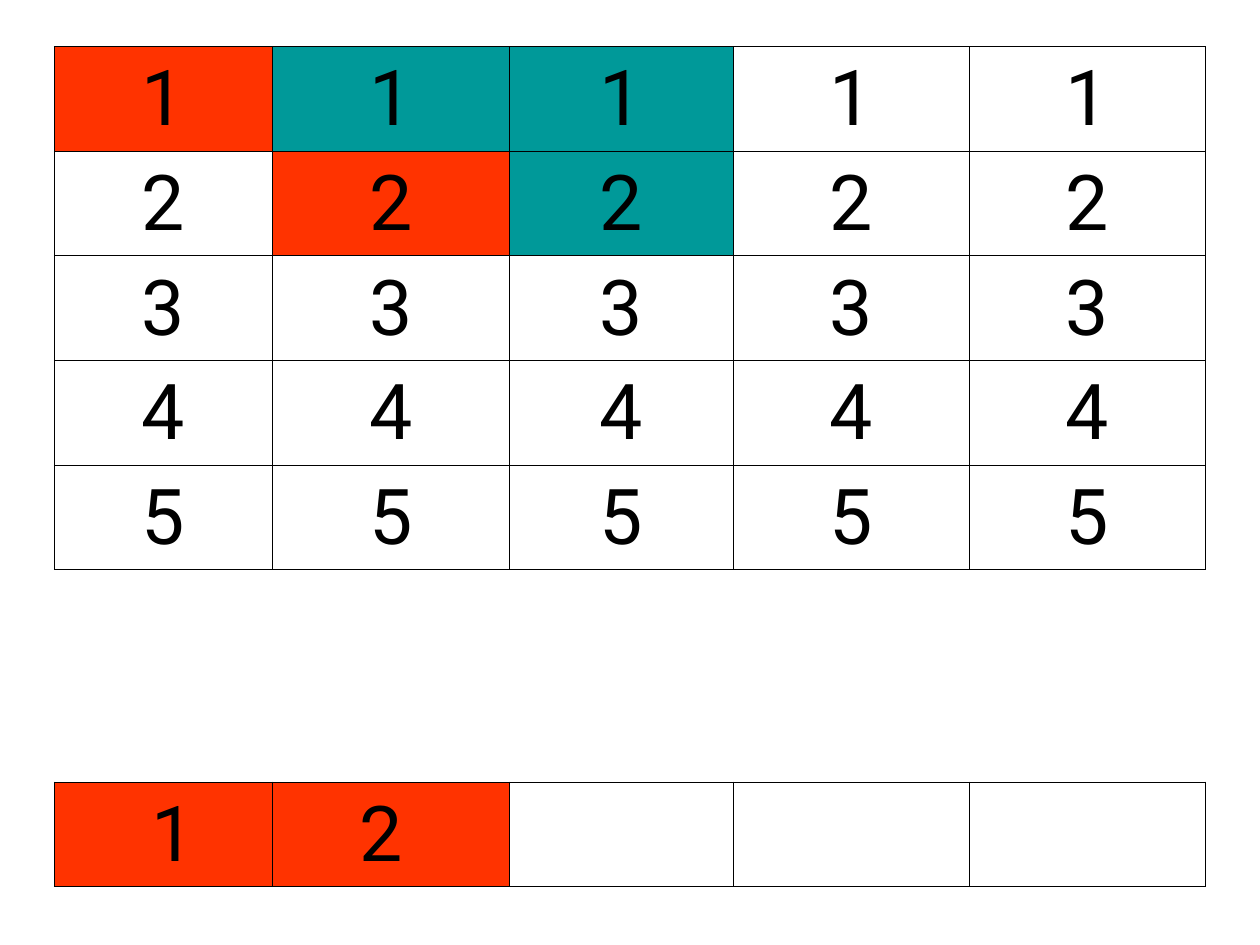
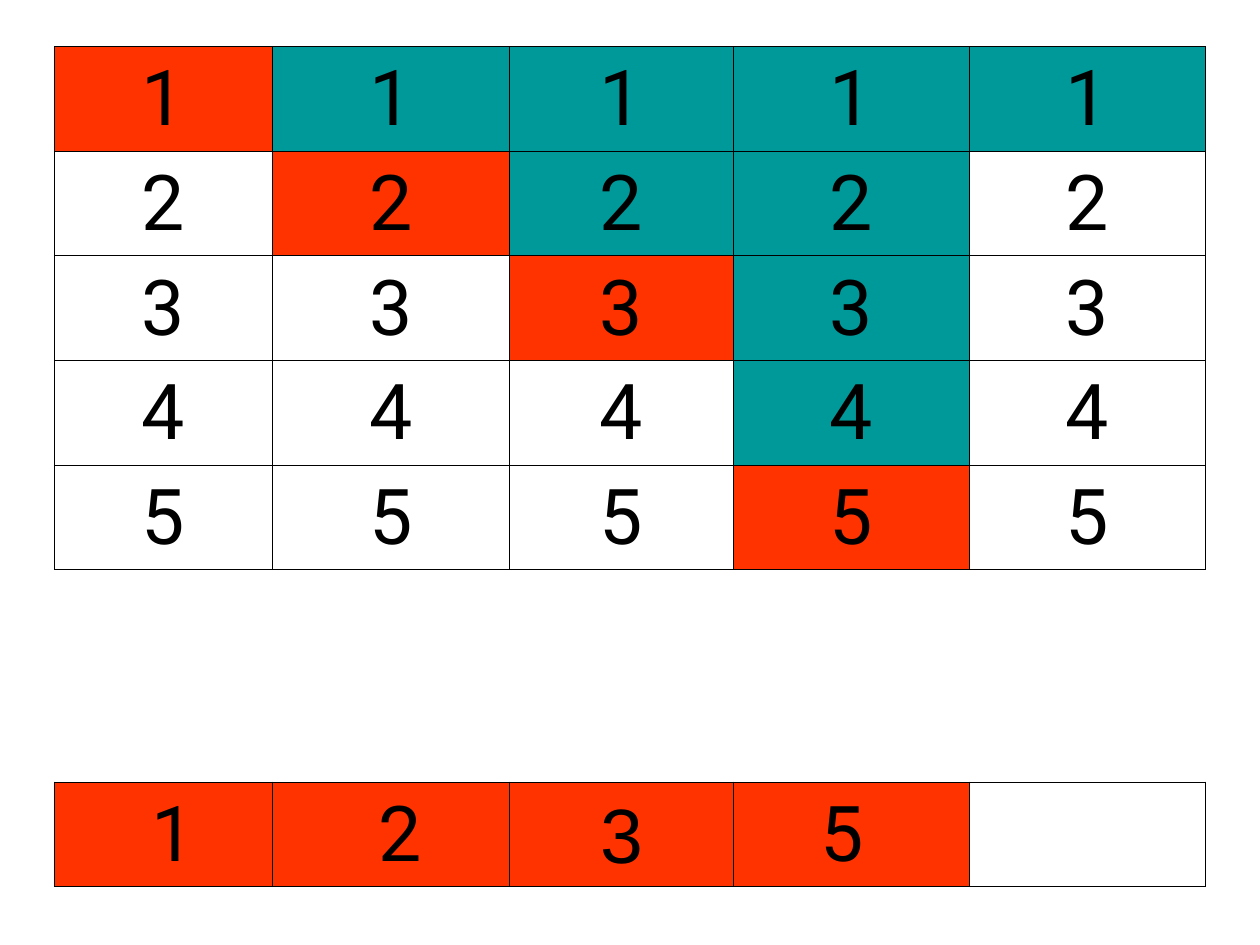
import dataclasses

import lxml.etree
import pptx
import pptx.dml.color
import pptx.enum.text
import pptx.oxml.ns
import pptx.table
import pptx.util

Pt = pptx.util.Pt

# Shared look
RED, TEAL, BLACK = "FF3300", "009999", "000000"
FONT, SIZE, LINE = "Roboto", 44, 0.45
LEFT, TOP = 31, 26.5
COLS = [124.8, 135.4, 128, 134.8, 135]
ROW, GAP = 59.8, 121.4
COUNT = len(COLS)
ROWS = [ROW] * COUNT + [GAP, ROW]


@dataclasses.dataclass
class Trial:
    """One column: values tried so far, and the answer if the last one fits."""
    tried: int = 0
    answer: str = ""
    font: str = FONT

    def fill(self, value: int) -> str:
        if value > self.tried:
            return ""
        return RED if self.answer and value == self.tried else TEAL


# The non-breaking spaces nudge the answers off centre
STEPS = [
    [Trial(1, " 1"), Trial(2, "2 "), Trial(2), Trial(), Trial()],
    [Trial(1, " 1"), Trial(2, " 2"), Trial(3, "3", "Arial"),
     Trial(5, "5 "), Trial(1)],
]


def color(code: str) -> pptx.dml.color.RGBColor:
    return pptx.dml.color.RGBColor.from_string(code)


def border(cell: pptx.table._Cell, sides: str) -> None:
    """Rule the given sides and clear the others."""
    qn = pptx.oxml.ns.qn
    props = cell._tc.get_or_add_tcPr()
    for spot, side in enumerate("LRTB"):
        line = lxml.etree.Element(qn(f"a:ln{side}"), w=str(int(Pt(LINE))))
        if side in sides:
            solid = lxml.etree.SubElement(line, qn("a:solidFill"))
            lxml.etree.SubElement(solid, qn("a:srgbClr"), val=BLACK)
        else:
            lxml.etree.SubElement(line, qn("a:noFill"))
        props.insert(spot, line)


def paint(cell: pptx.table._Cell, text: str = "", fill: str = "",
          font: str = FONT, sides: str = "LRTB") -> None:
    if fill:
        cell.fill.solid()
        cell.fill.fore_color.rgb = color(fill)
    else:
        cell.fill.background()
    border(cell, sides)
    if text:
        cell.vertical_anchor = pptx.enum.text.MSO_ANCHOR.BOTTOM
        cell.text = text
        para = cell.text_frame.paragraphs[0]
        para.alignment = pptx.enum.text.PP_ALIGN.CENTER
        para.font.name = font
        para.font.size = Pt(SIZE)
        para.font.color.rgb = color(BLACK)


def draw(deck, step: list[Trial]) -> None:
    slide = deck.slides.add_slide(deck.slide_layouts[6])
    table = slide.shapes.add_table(
        len(ROWS), COUNT, Pt(LEFT), Pt(TOP), Pt(sum(COLS)), Pt(sum(ROWS))).table
    table.first_row = table.horz_banding = False
    for col, width in zip(table.columns, COLS):
        col.width = Pt(width)
    for row, height in zip(table.rows, ROWS):
        row.height = Pt(height)
    for col, trial in enumerate(step):
        # Candidate values
        for value in range(1, COUNT + 1):
            paint(table.cell(value - 1, col), str(value), trial.fill(value))
        # Spacer, then the answer so far
        paint(table.cell(COUNT, col), sides="TB")
        paint(table.cell(COUNT + 1, col), trial.answer,
              RED if trial.answer else "", trial.font)


def main() -> None:
    deck = pptx.Presentation()
    deck.slide_width, deck.slide_height = Pt(720), Pt(540)
    for step in STEPS:
        draw(deck, step)
    deck.save("out.pptx")


if __name__ == "__main__":
    main()
